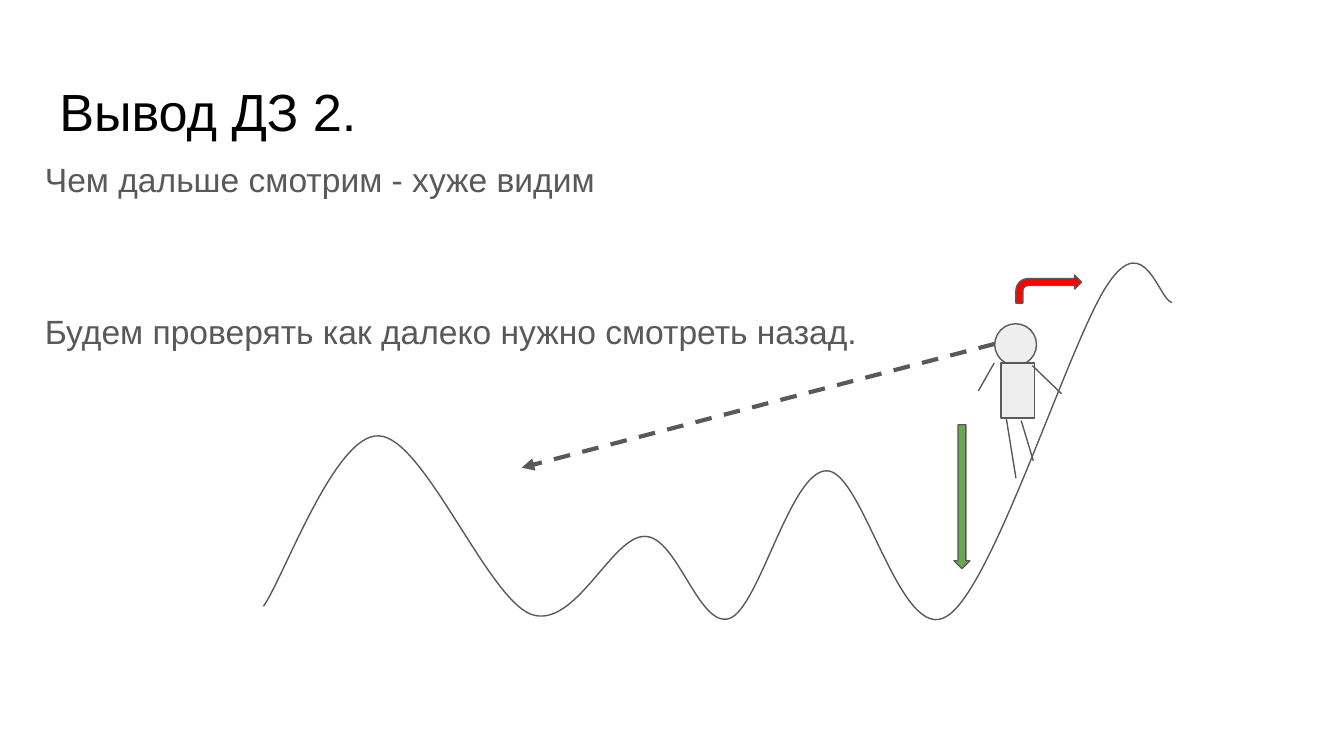
from lxml import etree
from pptx import Presentation
from pptx.dml.color import RGBColor
from pptx.enum.dml import MSO_LINE
from pptx.enum.shapes import MSO_CONNECTOR, MSO_SHAPE
from pptx.enum.text import MSO_ANCHOR, MSO_AUTO_SIZE, PP_ALIGN
from pptx.oxml.ns import qn
from pptx.util import Cm, Pt

BLACK = RGBColor(0x00, 0x00, 0x00)
GRAY = RGBColor(0x59, 0x59, 0x59)
LIGHT = RGBColor(0xEE, 0xEE, 0xEE)
RED = RGBColor(0xFF, 0x00, 0x00)
GREEN = RGBColor(0x6A, 0xA8, 0x4F)
STRAIGHT, DASH = MSO_CONNECTOR.STRAIGHT, MSO_LINE.DASH
OVAL, RECT = MSO_SHAPE.OVAL, MSO_SHAPE.RECTANGLE
BENT_ARROW, DOWN_ARROW = MSO_SHAPE.BENT_ARROW, MSO_SHAPE.DOWN_ARROW
TOP, LEFT, NO_FIT = MSO_ANCHOR.TOP, PP_ALIGN.LEFT, MSO_AUTO_SIZE.NONE
FONT = "Arial"

# Hills in cm from the box corner: start, then (control, control, end)
HILLS_START = (0, 6.5)
HILLS = [
    ((0.38, 5.97), (1.35, 3.23), (2.18, 3.28)),
    ((3.02, 3.3), (4.22, 6.32), (5.05, 6.65)),
    ((5.89, 6.96), (6.58, 5.16), (7.21, 5.18)),
    ((7.82, 5.18), (8.23, 6.93), (8.81, 6.73)),
    ((9.37, 6.53), (9.96, 3.94), (10.64, 3.94)),
    ((11.33, 3.91), (12.04, 7.29), (12.93, 6.68)),
    ((13.82, 6.1), (15.27, 1.37), (15.98, 0.38)),
    ((16.66, -0.61), (16.92, 0.71), (17.17, 0.76)),
]
# Arms and legs in cm from the figure's corner
LIMBS = [(0.3, 0.74, 0, 1.27), (1.02, 0.79, 1.57, 1.32),
         (0.53, 1.8, 0.71, 2.92), (0.81, 1.83, 1.04, 2.59)]


def format_frame(tf):
    tf.word_wrap = True
    tf.auto_size = NO_FIT
    tf.vertical_anchor = TOP
    tf.margin_left = tf.margin_right = Cm(0.25)
    tf.margin_top = tf.margin_bottom = Cm(0.25)


def add_run(p, text, size, color):
    p.alignment = LEFT
    r = p.add_run()
    r.text = text
    r.font.name, r.font.size, r.font.color.rgb = FONT, Pt(size), color


def add_outline(shape, width=0.75):
    shape.line.color.rgb = GRAY
    shape.line.width = Pt(width)


def add_block(s, kind, x, y, w, h, fill, adjustments=()):
    shape = s.shapes.add_shape(kind, Cm(x), Cm(y), Cm(w), Cm(h))
    shape.shadow.inherit = False
    shape.fill.solid()
    shape.fill.fore_color.rgb = fill
    add_outline(shape)
    for i, value in enumerate(adjustments):
        shape.adjustments[i] = value


def add_line(s, x1, y1, x2, y2, width=0.75):
    line = s.shapes.add_connector(STRAIGHT, Cm(x1), Cm(y1), Cm(x2), Cm(y2))
    add_outline(line, width)
    etree.SubElement(line._element.spPr, qn("a:effectLst"))
    return line


def add_title(s, x, y, w, h):
    title = s.shapes.title
    title.left, title.top, title.width, title.height = Cm(x), Cm(y), Cm(w), Cm(h)
    format_frame(title.text_frame)
    add_run(title.text_frame.paragraphs[0], "Вывод ДЗ 2.", 28, BLACK)


def add_body(s, x, y, w, h):
    tf = s.shapes.add_textbox(Cm(x), Cm(y), Cm(w), Cm(h)).text_frame
    format_frame(tf)
    first, second = tf.paragraphs[0], tf.add_paragraph()
    add_run(first, "Чем дальше смотрим - хуже видим", 18, GRAY)
    add_run(second, "Будем проверять как далеко нужно смотреть назад.", 18, GRAY)
    first.line_spacing = second.line_spacing = 1.15
    second.space_before = Pt(56.5)


def add_hills(s, x, y, w, h):
    builder = s.shapes.build_freeform(Cm(x + HILLS_START[0]), Cm(y + HILLS_START[1]))
    builder.add_line_segments([(Cm(x + end[0]), Cm(y + end[1])) for *_, end in HILLS],
                              close=False)
    hills = builder.convert_to_shape()
    hills.left, hills.top, hills.width, hills.height = Cm(x), Cm(y), Cm(w), Cm(h)
    hills.shadow.inherit = False
    hills.fill.background()
    add_outline(hills)
    # Turn the straight segments into curves
    outline = next(hills._element.iter(qn("a:path")))
    outline.set("w", str(Cm(w)))
    outline.set("h", str(Cm(h)))
    for step in list(outline):
        outline.remove(step)
    for tag, points in [("a:moveTo", [HILLS_START])] + [("a:cubicBezTo", c) for c in HILLS]:
        step = etree.SubElement(outline, qn(tag))
        for px, py in points:
            etree.SubElement(step, qn("a:pt"), x=str(Cm(px)), y=str(Cm(py)))


def add_hiker(s, x, y):
    add_block(s, OVAL, x + 0.31, y, 0.79, 0.79, LIGHT)
    add_block(s, RECT, x + 0.43, y + 0.74, 0.63, 1.04, LIGHT)
    for x1, y1, x2, y2 in LIMBS:
        add_line(s, x + x1, y + y1, x + x2, y + y2)


def add_arrows(s, x, y):
    # Way ahead and way down
    add_block(s, BENT_ARROW, x + 9.34, y, 1.24, 0.53, RED, (0.25, 0.25, 0.25, 0.438))
    add_block(s, DOWN_ARROW, x + 8.17, y + 2.83, 0.3, 2.72, GREEN)
    # Look back
    gaze = add_line(s, x + 8.94, y + 1.3, x, y + 3.64, 2.25)
    gaze.line.dash_style = DASH
    etree.SubElement(gaze.line._get_or_add_ln(), qn("a:tailEnd"), type="triangle")


prs = Presentation()
prs.slide_width, prs.slide_height = Cm(25.4), Cm(14.29)
s = prs.slides.add_slide(prs.slide_layouts[5])
add_title(s, 0.87, 1.24, 23.67, 1.6)
add_body(s, 0.6, 2.64, 23.67, 9.5)
add_hills(s, 4.98, 4.96, 17.17, 6.76)
add_hiker(s, 18.49, 6.12)
add_arrows(s, 9.86, 5.2)
prs.save("out.pptx")
